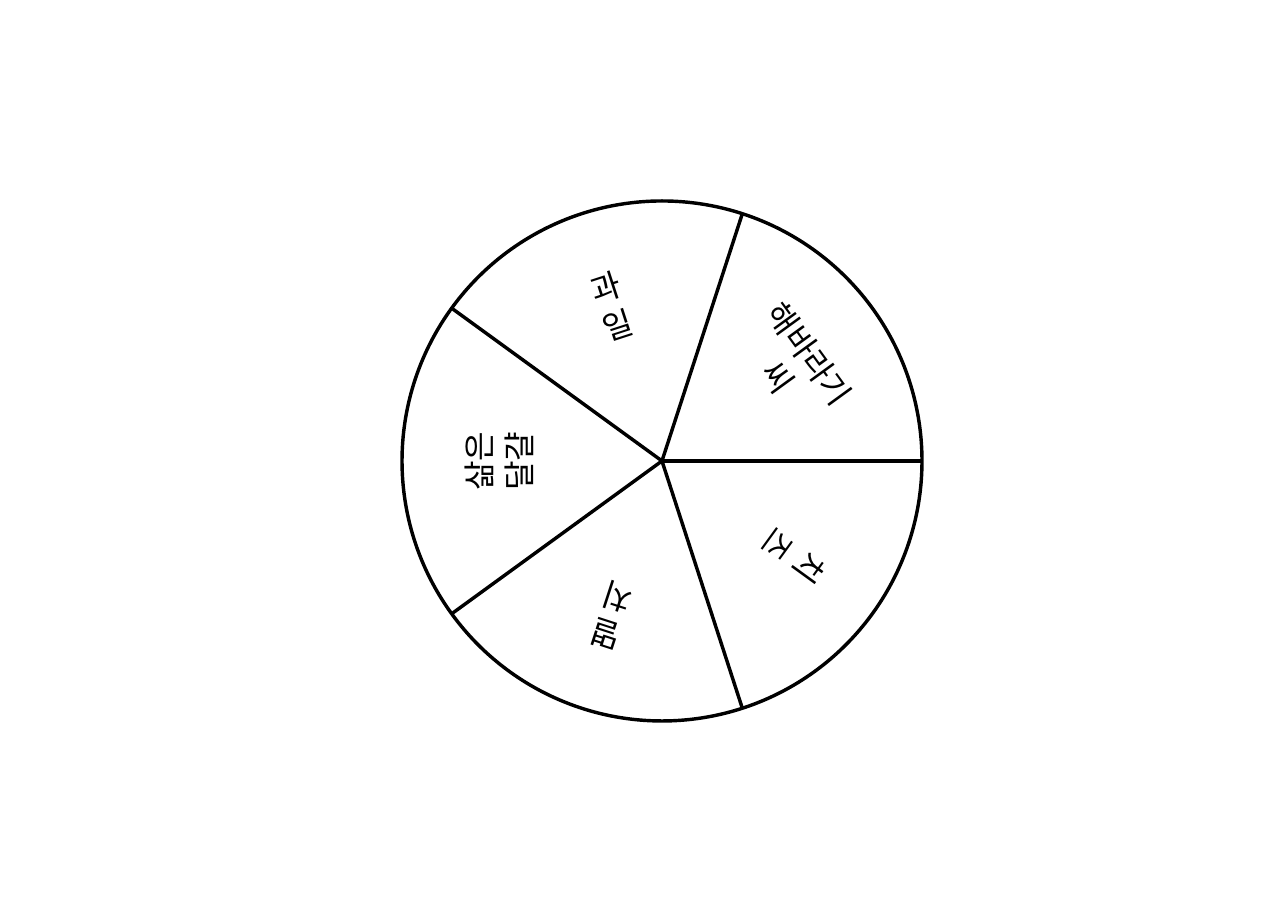
from dataclasses import dataclass
from math import cos, radians, sin

from lxml import etree
from pptx import Presentation
from pptx.dml.color import RGBColor
from pptx.enum.shapes import MSO_CONNECTOR, MSO_SHAPE
from pptx.enum.text import MSO_ANCHOR, MSO_AUTO_SIZE, PP_ALIGN
from pptx.oxml.ns import qn
from pptx.util import Pt

LINE = MSO_CONNECTOR.STRAIGHT
OVAL = MSO_SHAPE.OVAL
TOP = MSO_ANCHOR.TOP
FIXED = MSO_AUTO_SIZE.NONE
CENTER = PP_ALIGN.CENTER

FOODS = [
    ("해바라기 씨", 155),
    ("치즈", 62),
    ("멸치", 62),
    ("삶은 달걀", 126),
    ("과일", 62),
]

SIZE = (1288, 911)
HUB = (662, 461)
RADIUS = 260
REACH = 186
HIGH = 44
STEP = 360 / len(FOODS)
START = 18


@dataclass(frozen=True)
class Theme:
    ink: RGBColor = RGBColor(0, 0, 0)
    font: str = "Noto Sans CJK KR"
    text: Pt = Pt(21)
    lead: Pt = Pt(25.5)
    rule: Pt = Pt(2.25)


THEME = Theme()


def px(n):
    return round(n * 914400 / 110.2)


def polar(turn, dist):
    a = radians(turn)
    return HUB[0] + dist * sin(a), HUB[1] - dist * cos(a)


def stroke(item):
    item.line.color.rgb = THEME.ink
    item.line.width = THEME.rule


def add_rim(shapes):
    rim = shapes.add_shape(
        OVAL, px(HUB[0] - RADIUS), px(HUB[1] - RADIUS), px(2 * RADIUS), px(2 * RADIUS)
    )
    rim.shadow.inherit = False
    rim.fill.background()
    stroke(rim)


def add_spoke(shapes, turn):
    x, y = polar(turn, RADIUS)
    spoke = shapes.add_connector(LINE, px(HUB[0]), px(HUB[1]), px(x), px(y))
    etree.SubElement(spoke._element.spPr, qn("a:effectLst"))
    stroke(spoke)
    spoke._element.spPr.append(spoke._element.spPr.find(qn("a:effectLst")))


def add_label(shapes, text, wide, turn):
    x, y = polar(turn, REACH)
    box = shapes.add_textbox(px(x - wide / 2), px(y - HIGH / 2), px(wide), px(HIGH))
    box.rotation = turn
    frame = box.text_frame
    frame.word_wrap = True
    frame.auto_size = FIXED
    frame.vertical_anchor = TOP
    para = frame.paragraphs[0]
    para.alignment = CENTER
    para.line_spacing = THEME.lead
    run = para.add_run()
    run.text = text
    run.font.size = THEME.text
    run.font.color.rgb = THEME.ink
    run.font.name = THEME.font
    east = etree.SubElement(run._r.get_or_add_rPr(), qn("a:ea"))
    east.set("typeface", THEME.font)


def main():
    deck = Presentation()
    deck.slide_width, deck.slide_height = map(px, SIZE)
    slide = deck.slides.add_slide(deck.slide_layouts[6])
    wheel = slide.shapes.add_group_shape().shapes
    add_rim(wheel)
    for i, (text, wide) in enumerate(FOODS):
        turn = START + i * STEP
        add_spoke(wheel, turn)
        add_label(wheel, text, wide, turn + STEP / 2)
    deck.save("out.pptx")


if __name__ == "__main__":
    main()
